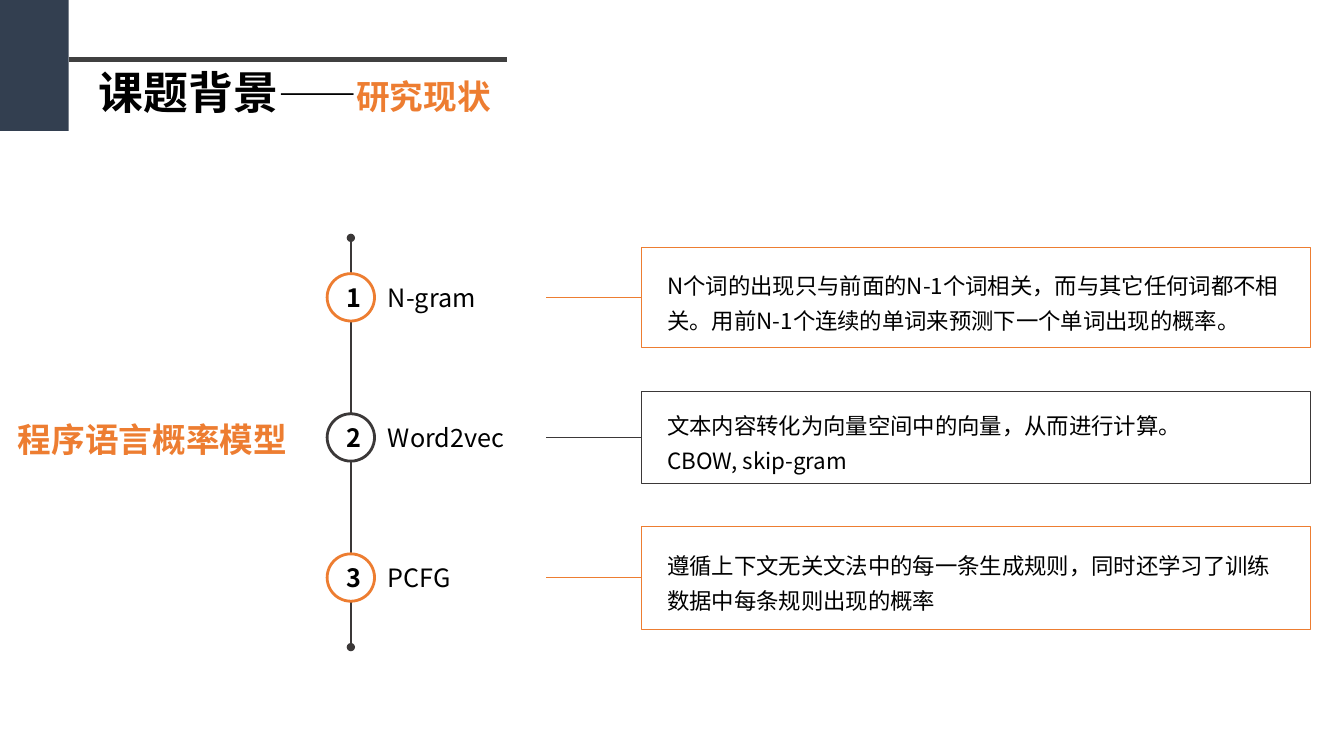
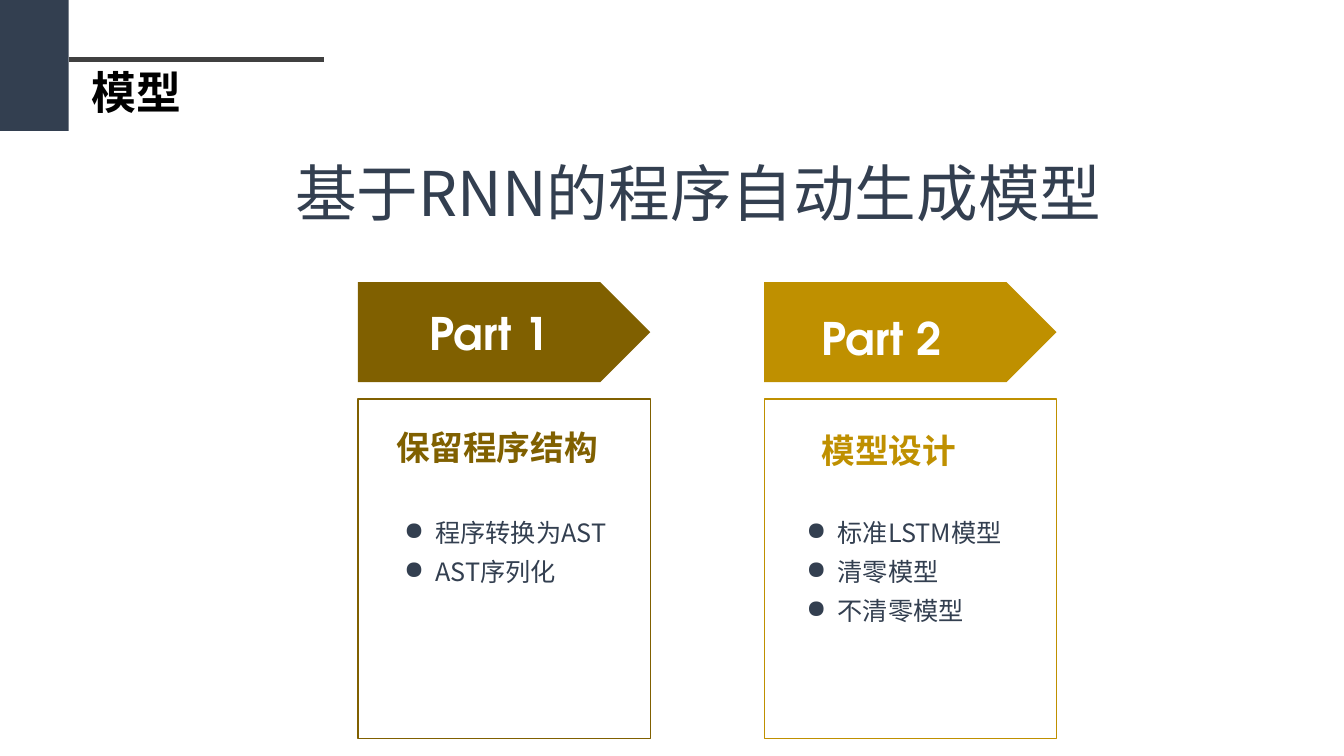
"""Build two slides: research status and the RNN program generation model."""
from lxml.etree import SubElement
from pptx import Presentation
from pptx.dml.color import RGBColor
from pptx.enum.shapes import MSO_CONNECTOR, MSO_SHAPE as SHAPE
from pptx.enum.text import MSO_ANCHOR as ANCHOR, PP_ALIGN as ALIGN
from pptx.oxml.ns import qn
from pptx.util import Inches, Pt

WIDTH, HEIGHT = 13.33, 7.5
SANS, GEOMETRIC = "Noto Sans CJK SC", "TeX Gyre Adventor"
NAVY, ORANGE, CHARCOAL, RULE = "333F50", "ED7D31", "3B3838", "404040"
BLACK, WHITE, BROWN, GOLD = "000000", "FFFFFF", "806000", "BF9000"
BAND_WIDTH, BAND_HEIGHT, RULE_TOP = 0.68, 1.3, 0.59

STATUS_TITLE = [("课题背景", 32, BLACK), ("——", 28, BLACK), ("研究现状", 24, ORANGE)]
MODEL_TITLE = [("模型", 32, BLACK)]
TOPIC = "程序语言概率模型"
METHODS = [
    ("N-gram", ORANGE, 1.0,
     ["N个词的出现只与前面的N-1个词相关，而与其它任何词都不相关。用前N-1个连续的单词来预测下一个单词出现的概率。"]),
    ("Word2vec", CHARCOAL, 0.92,
     ["文本内容转化为向量空间中的向量，从而进行计算。", "CBOW, skip-gram"]),
    ("PCFG", ORANGE, 1.02,
     ["遵循上下文无关文法中的每一条生成规则，同时还学习了训练数据中每条规则出现的概率"]),
]
HEADLINE = "基于RNN的程序自动生成模型"
PARTS = [
    dict(label="Part 1", label_at=(0.61, 2.98), heading="保留程序结构",
         heading_at=(0.28, 4.07), heading_width=2.22, list_left=0.36, color=BROWN,
         points=["程序转换为AST", "AST序列化"]),
    dict(label="Part 2", label_at=(0.47, 3.03), heading="模型设计",
         heading_at=(0.47, 4.1), heading_width=1.55, list_left=0.32, color=GOLD,
         points=["标准LSTM模型", "清零模型", "不清零模型"]),
]


def rgb(color):
    return RGBColor.from_string(color)


def write(frame, paragraphs, size=18, color=BLACK, font=SANS, bold=False, align=None,
          anchor=ANCHOR.TOP, spacing=None, bullet=None, wrap=True):
    """Fill a frame; a paragraph is a string or a list of (text, size, color) runs."""
    frame.word_wrap, frame.vertical_anchor = wrap, anchor
    for index, content in enumerate(paragraphs):
        paragraph = frame.add_paragraph() if index else frame.paragraphs[0]
        paragraph.alignment, paragraph.line_spacing = align, spacing
        if bullet:
            props = paragraph._p.get_or_add_pPr()
            indent = Inches(0.31)
            props.set("marL", str(indent))
            props.set("indent", str(-indent))
            SubElement(props, qn("a:buChar"), char=bullet)
        runs = [(content, size, color)] if isinstance(content, str) else content
        for text, run_size, run_color in runs:
            run = paragraph.add_run()
            run.text = text
            run.font.size, run.font.bold = Pt(run_size), bold
            run.font.color.rgb = rgb(run_color)
            run.font.name = font
            SubElement(run.font._element, qn("a:ea"), typeface=font)


def add_text(slide, box, paragraphs, **style):
    frame = slide.shapes.add_textbox(*map(Inches, box)).text_frame
    write(frame, paragraphs, **style)


def add_block(slide, kind, box, fill=None, line=None, weight=1):
    block = slide.shapes.add_shape(kind, *map(Inches, box))
    block.shadow.inherit = False
    if fill:
        block.fill.solid()
        block.fill.fore_color.rgb = rgb(fill)
    else:
        block.fill.background()
    if line:
        block.line.color.rgb, block.line.width = rgb(line), Pt(weight)
    else:
        block.line.fill.background()
    return block


def add_line(slide, start, end, color, weight, dots=False):
    line = slide.shapes.add_connector(MSO_CONNECTOR.STRAIGHT, *map(Inches, (*start, *end)))
    line.line.color.rgb, line.line.width = rgb(color), Pt(weight)
    if dots:
        for tip in ("a:headEnd", "a:tailEnd"):
            SubElement(line.line._ln, qn(tip), type="oval")
    SubElement(line._element.spPr, qn("a:effectLst"))


def add_slide(deck, title, title_left, title_width, rule_right):
    slide = deck.slides.add_slide(deck.slide_layouts[6])
    add_block(slide, SHAPE.RECTANGLE, (0, 0, BAND_WIDTH, BAND_HEIGHT), NAVY)
    add_text(slide, (title_left, RULE_TOP, title_width, 0.64), [title], bold=True)
    add_line(slide, (BAND_WIDTH, RULE_TOP), (rule_right, RULE_TOP), RULE, 3)
    return slide


def build_status(deck):
    slide = add_slide(deck, STATUS_TITLE, 0.88, 5.06, 5.03)
    axis, first, pitch, circle = 3.48, 2.95, 1.39, 0.47
    box_left, box_width, inset = 6.36, 6.64, 0.16
    add_line(slide, (axis, 2.36), (axis, 6.42), CHARCOAL, 1.5, dots=True)
    for row, (name, color, height, description) in enumerate(METHODS):
        middle = first + row * pitch
        add_text(slide, (3.75, middle - 0.2, 2.07, 0.4), [name], anchor=ANCHOR.MIDDLE)
        number = add_block(slide, SHAPE.OVAL,
                           (axis - circle / 2, middle - circle / 2, circle, circle),
                           WHITE, color, 2)
        number.text_frame.margin_left = Inches(0.12)
        write(number.text_frame, [str(row + 1)], bold=True, align=ALIGN.CENTER,
              anchor=ANCHOR.MIDDLE)
        add_line(slide, (5.42, middle), (box_left, middle), color, 0.5)
        add_block(slide, SHAPE.RECTANGLE, (box_left, middle - height / 2, box_width, height),
                  WHITE, color, 0.5)
        add_text(slide, (box_left + inset, middle - 0.38, box_width - 2 * inset, 0.77),
                 description, size=16, spacing=1.3)
    add_text(slide, (0.08, 4.11, 2.89, 0.5), [TOPIC], size=24, color=ORANGE, bold=True,
             wrap=False)


def build_model(deck):
    slide = add_slide(deck, MODEL_TITLE, 0.81, 2.86, 3.21)
    add_text(slide, (2.83, 1.22, 8.79, 1.45), [HEADLINE], size=44, color=NAVY,
             anchor=ANCHOR.MIDDLE, spacing=0.9)
    first, pitch, width = 3.55, 4.03, 2.9
    for column, part in enumerate(PARTS):
        left, color = first + column * pitch, part["color"]
        label_left, label_top = part["label_at"]
        heading_left, heading_top = part["heading_at"]
        add_block(slide, SHAPE.PENTAGON, (left, 2.8, width, 0.99), color)
        add_text(slide, (left + label_left, label_top, 2.44, 0.64), [part["label"]],
                 size=32, color=WHITE, font=GEOMETRIC, bold=True)
        add_block(slide, SHAPE.RECTANGLE, (left, 3.96, width, 3.37), line=color)
        add_text(slide, (left + part["list_left"], 4.99, 2.59, 1.28), part["points"],
                 color=NAVY, spacing=1.3, bullet="●")
        add_text(slide, (left + heading_left, heading_top, part["heading_width"], 0.58),
                 [part["heading"]], size=24, color=color, bold=True, spacing=1.3, wrap=False)


def main():
    deck = Presentation()
    deck.slide_width, deck.slide_height = Inches(WIDTH), Inches(HEIGHT)
    build_status(deck)
    build_model(deck)
    deck.save("out.pptx")


if __name__ == "__main__":
    main()
